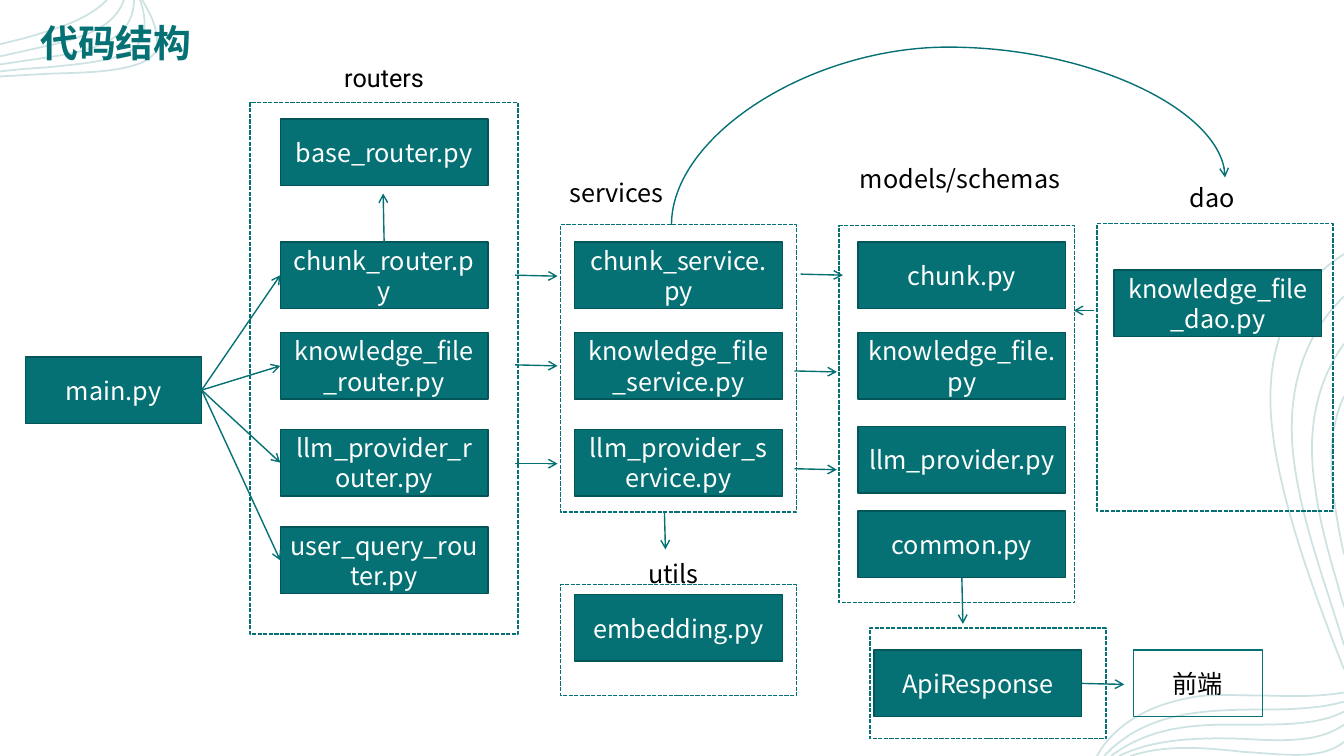
from lxml.etree import SubElement
from pptx import Presentation
from pptx.dml.color import RGBColor
from pptx.enum.dml import MSO_LINE
from pptx.enum.shapes import MSO_CONNECTOR, MSO_SHAPE
from pptx.enum.text import MSO_ANCHOR, MSO_AUTO_SIZE, PP_ALIGN
from pptx.oxml.ns import qn
from pptx.util import Inches, Pt

HUES = {"teal": "057174", "edge": "045557", "wave": "CDE3E3",
        "white": "FFFFFF", "black": "000000"}
SANS = "Noto Sans CJK SC"
FILE_W, FILE_H = 2.06, 0.66
TOP, LEFT, BOTTOM, RIGHT = range(4)
UNITS = 1000  # freeform units per inch

# Bezier points of the background waves: a start, then three per curve
LEFT_WAVES = [
    [(0, .44), (.08, .42), (.16, .4), (.24, .38), (.47, .31), (.85, .22), (1.06, 0)],
    [(0, .56), (.09, .54), (.18, .52), (.27, .5), (.72, .4), (1.12, .32), (1.23, 0)],
    [(0, .64), (.13, .62), (.27, .6), (.41, .58), (.8, .52), (1.33, .45), (1.33, 0)],
    [(0, .71), (.15, .69), (.29, .68), (.45, .67), (.86, .63), (1.2, .6), (1.35, .46),
     (1.46, .35), (1.45, .18), (1.39, 0)],
    [(0, .76), (.16, .75), (.34, .74), (.53, .73), (.97, .72), (1.45, .7), (1.55, .5),
     (1.58, .33), (1.52, .18), (1.41, 0)],
]
RIGHT_WAVES = [
    [(13.33, 3.93), (13.13, 4.36), (13.2, 4.9), (13.33, 5.5)],
    [(13.33, 3.41), (13.05, 3.8), (12.95, 4.29), (13.05, 4.88), (13.1, 5.25),
     (13.22, 5.63), (13.33, 6.02)],
    [(13.33, 2.94), (12.91, 3.35), (12.74, 3.92), (12.84, 4.62), (12.92, 5.2),
     (13.15, 5.8), (13.33, 6.4)],
    [(13.33, 2.52), (12.86, 2.82), (12.6, 3.3), (12.6, 3.95), (12.6, 4.7),
     (12.98, 5.75), (13.33, 6.64)],
    [(13.33, 6.87), (13.1, 6.91), (12.83, 6.91), (12.55, 6.9), (12.35, 6.9),
     (12.15, 6.89), (11.96, 6.9), (11.45, 6.95), (11.05, 7.18), (10.88, 7.5)],
    [(13.33, 6.96), (13.1, 7.03), (12.78, 7.04), (12.49, 7.04), (11.95, 7.04),
     (11.36, 7.06), (10.95, 7.5)],
    [(13.33, 7.06), (13.1, 7.18), (12.8, 7.19), (12.35, 7.19), (11.85, 7.18),
     (11.4, 7.21), (11.02, 7.5)],
    [(13.33, 7.19), (13.1, 7.35), (12.8, 7.36), (12.33, 7.33), (11.8, 7.31),
     (11.4, 7.35), (11.1, 7.5)],
    [(13.33, 7.36), (13.1, 7.55), (12.7, 7.48), (12.34, 7.46), (11.9, 7.41),
     (11.55, 7.39), (11.21, 7.5)],
]

# Group box, label, label box, file inset, {file: drop from the group top}
GROUPS = [
    ((2.48, 1.02, 2.66, 5.27), "routers", (2.66, .57, 2.3), .3,
     {"base_router.py": .16, "chunk_router.py": 1.38, "knowledge_file_router.py": 2.28,
      "llm_provider_router.py": 3.24, "user_query_router.py": 4.21}),
    ((5.56, 2.23, 2.34, 2.85), "services", (5.53, 1.71, 1.17), .14,
     {"chunk_service.py": .17, "knowledge_file_service.py": 1.07,
      "llm_provider_service.py": 2.03}),
    ((8.32, 2.24, 2.34, 3.74), "models/schemas", (8.43, 1.57, 2.3), .19,
     {"chunk.py": .16, "knowledge_file.py": 1.06, "llm_provider.py": 1.99,
      "common.py": 2.83}),
    ((5.56, 5.8, 2.34, 1.1), "utils", (5.53, 5.49, 2.3), .14, {"embedding.py": .1}),
    ((8.63, 6.23, 2.34, 1.1), None, None, .04, {"ApiResponse": .22}),
    ((10.88, 2.22, 2.34, 2.85), "dao", (11.7, 1.76, 1.04), .17,
     {"knowledge_file_dao.py": .46}),
]

# Free arrows between groups: x1, y1, x2, y2
FLOWS = [(5.11, 2.73, 5.53, 2.74), (5.11, 3.62, 5.53, 3.63), (5.11, 4.6, 5.53, 4.6),
         (7.94, 2.72, 8.36, 2.73), (7.88, 3.68, 8.3, 3.69), (7.88, 4.65, 8.3, 4.66),
         (6.59, 5.08, 6.6, 5.45), (10.85, 3.08, 10.65, 3.08)]


def tint(name):
    return RGBColor.from_string(HUES[name])


def write(shape, text, hue, size=18, face=SANS, align=PP_ALIGN.CENTER, bold=False):
    frame = shape.text_frame
    frame.word_wrap = True
    frame.text = text
    para = frame.paragraphs[0]
    para.alignment = align
    run = para.runs[0]
    run.font.size, run.font.name, run.font.bold = Pt(size), face, bold
    run.font.color.rgb = tint(hue)
    SubElement(run.font._element, qn("a:ea")).set("typeface", face)


def stroke(shape, hue, width=1):
    shape.line.color.rgb = tint(hue)
    shape.line.width = Pt(width)


def panel(slide, box, edge, fill=None):
    shape = slide.shapes.add_shape(MSO_SHAPE.RECTANGLE, *map(Inches, box))
    shape.shadow.inherit = False
    if fill:
        shape.fill.solid()
        shape.fill.fore_color.rgb = tint(fill)
    else:
        shape.fill.background()
    stroke(shape, edge)
    return shape


def file_box(slide, text, box):
    shape = panel(slide, box, "edge", "teal")
    write(shape, text, "white")
    return shape


def group(slide, box, label, spot, inset, files):
    x, y, _, _ = box
    frame = panel(slide, box, "teal")
    frame.line.dash_style = MSO_LINE.SQUARE_DOT
    if label:
        area = slide.shapes.add_textbox(*map(Inches, (*spot, .4)))
        align = PP_ALIGN.LEFT if label in ("models/schemas", "dao") else PP_ALIGN.CENTER
        face = "Roboto" if label == "routers" else SANS
        write(area, label, "black", face=face, align=align)
    return {name: file_box(slide, name, (x + inset, y + drop, FILE_W, FILE_H))
            for name, drop in files.items()}


def arrow(slide, ends, kind=MSO_CONNECTOR.STRAIGHT):
    line = slide.shapes.add_connector(kind, *map(Inches, ends))
    stroke(line, "teal")
    SubElement(line.line._get_or_add_ln(), qn("a:tailEnd")).set("type", "arrow")
    SubElement(line._element.spPr, qn("a:effectLst"))
    return line


def arc(slide, box, bend):
    # A quarter turn makes the connector leave upwards and land downwards
    x, y, w, h = box
    props = arrow(slide, (x, y, x + w, y + h), MSO_CONNECTOR.CURVE)._element.spPr
    props.find(qn("a:xfrm")).set("rot", str(270 * 60000))
    geom = props.find(qn("a:prstGeom"))
    guides = geom.find(qn("a:avLst"))
    if guides is None:
        guides = SubElement(geom, qn("a:avLst"))
    guide = SubElement(guides, qn("a:gd"))
    guide.set("name", "adj1")
    guide.set("fmla", f"val {round(bend * 100000)}")


def bezier(a, b, c, d, steps=16):
    for i in range(1, steps + 1):
        t = i / steps
        u = 1 - t
        yield tuple(UNITS * (u**3 * p + 3 * u * u * t * q + 3 * u * t * t * r + t**3 * s)
                    for p, q, r, s in zip(a, b, c, d))


def corner(slide, waves):
    x, y = waves[0][0]
    pen = slide.shapes.build_freeform(x * UNITS, y * UNITS, scale=Inches(1) / UNITS)
    for knots in waves:
        x, y = knots[0]
        if knots is not waves[0]:
            pen.move_to(x * UNITS, y * UNITS)
        for i in range(0, len(knots) - 1, 3):
            pen.add_line_segments(list(bezier(*knots[i:i + 4])), close=False)
    shape = pen.convert_to_shape()
    shape.shadow.inherit = False
    shape.fill.background()
    stroke(shape, "wave", 1.25)


def heading(slide, text, box):
    title = slide.shapes.title
    title.left, title.top, title.width, title.height = map(Inches, box)
    write(title, text, "teal", 27, align=PP_ALIGN.LEFT, bold=True)
    title.text_frame.vertical_anchor = MSO_ANCHOR.TOP
    title.text_frame.auto_size = MSO_AUTO_SIZE.NONE
    slide.shapes._spTree.append(title._element)  # above the waves


def main():
    deck = Presentation()
    deck.slide_width, deck.slide_height = Inches(13.33), Inches(7.5)
    slide = deck.slides.add_slide(deck.slide_layouts[5])

    # Background and title
    for waves in (LEFT_WAVES, RIGHT_WAVES):
        corner(slide, waves)
    heading(slide, "代码结构", (.3, .15, 4.01, .4))

    # Modules
    start = file_box(slide, "main.py", (.25, 3.54, 1.75, FILE_H))
    files = {}
    for item in GROUPS:
        files.update(group(slide, *item))
    front = panel(slide, (11.24, 6.45, 1.28, FILE_H), "teal")
    write(front, "前端", "black")

    # Arrows from main.py to the routers
    for name in list(GROUPS[0][4])[1:]:
        line = arrow(slide, (2, 3.87, 2.78, 3.87))
        line.begin_connect(start, RIGHT)
        line.end_connect(files[name], LEFT)

    # Arrows that leave a file
    for name, side, ends in [("chunk_router.py", TOP, (3.81, 2.4, 3.8, 1.92)),
                             ("common.py", BOTTOM, (9.55, 5.73, 9.55, 6.19)),
                             ("ApiResponse", RIGHT, (10.73, 6.78, 11.15, 6.79))]:
        arrow(slide, ends).begin_connect(files[name], side)

    # Arrows between groups
    for ends in FLOWS:
        arrow(slide, ends)
    arc(slide, (9.17, -.75, .47, 5.49), 3.75)

    deck.save("out.pptx")


if __name__ == "__main__":
    main()
